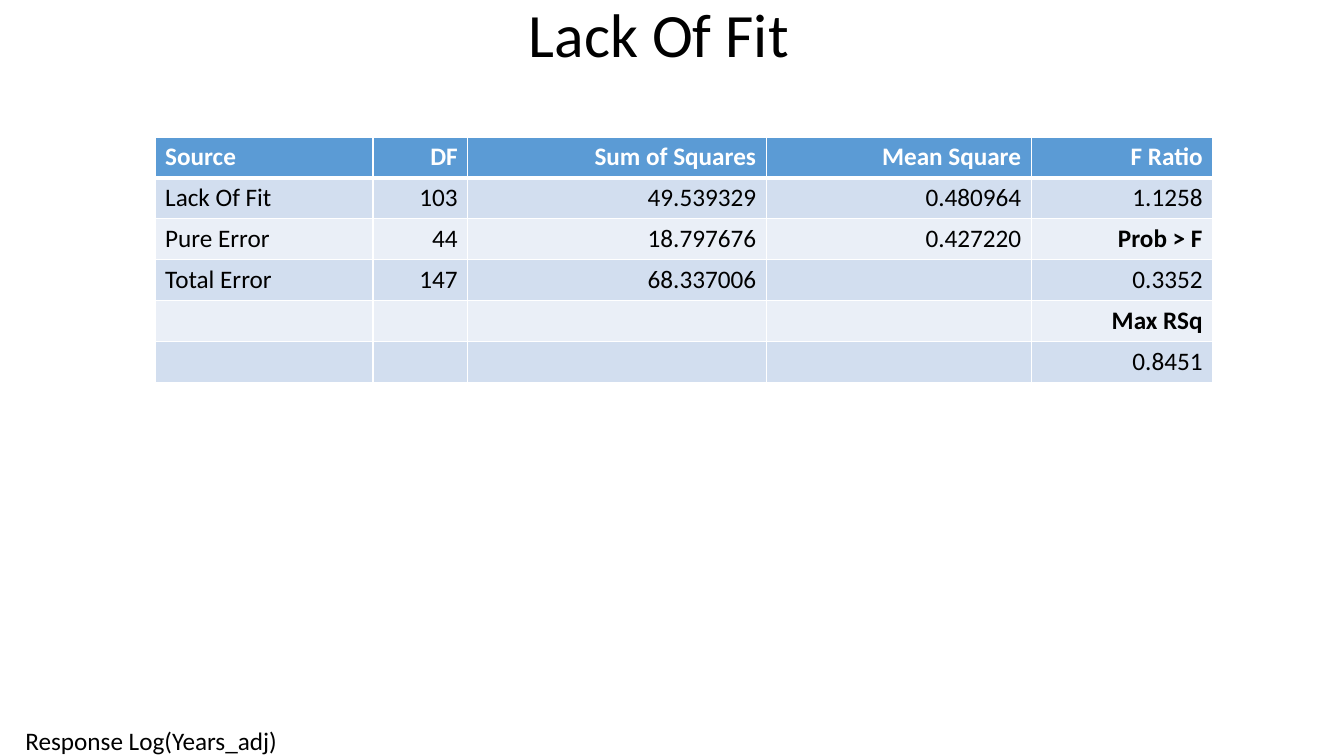
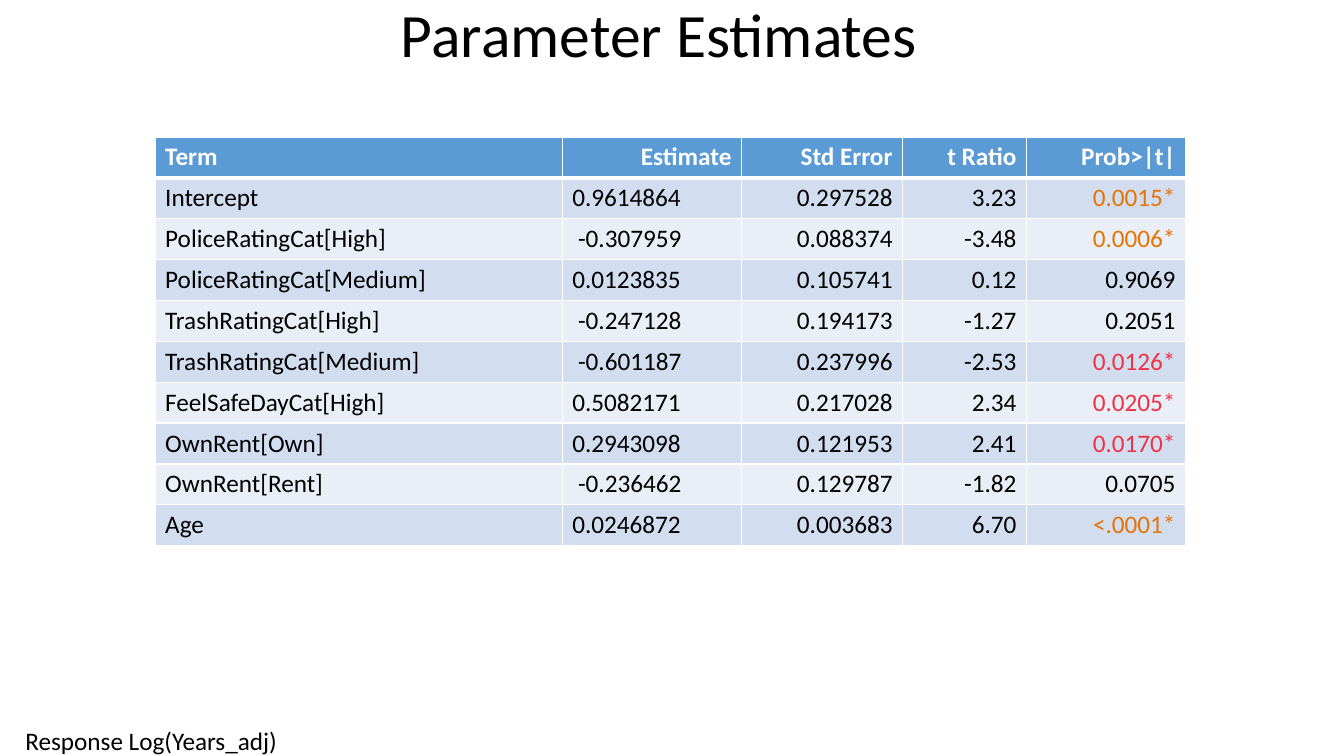
"""Build two slides of regression result tables."""
from dataclasses import dataclass

from lxml import etree
from pptx import Presentation
from pptx.dml.color import RGBColor
from pptx.enum import text
from pptx.oxml import ns
from pptx.util import Cm, Pt

CAPTION = "Response Log(Years_adj)"
SUBHEADS = {"Prob > F", "Max RSq"}
SLIDES = [
    {
        "title": "Lack Of Fit",
        "widths": [5.49, 2.39, 7.52, 6.68, 4.57],
        "align": "lrrrr",
        "rows": [
            ("Source", "DF", "Sum of Squares", "Mean Square", "F Ratio"),
            ("Lack Of Fit", "103", "49.539329", "0.480964", "1.1258"),
            ("Pure Error", "44", "18.797676", "0.427220", "Prob > F"),
            ("Total Error", "147", "68.337006", "", "0.3352"),
            ("", "", "", "", "Max RSq"),
            ("", "", "", "", "0.8451"),
        ],
    },
    {
        "title": "Parameter Estimates",
        "widths": [10.26, 4.52, 4.06, 3.12, 4.01],
        "align": "llrrr",
        "rows": [
            ("Term", "Estimate", "Std Error", "t Ratio", "Prob>|t|"),
            ("Intercept", "0.9614864", "0.297528", "3.23", "0.0015*"),
            ("PoliceRatingCat[High]", " -0.307959", "0.088374", "-3.48", "0.0006*"),
            ("PoliceRatingCat[Medium]", "0.0123835", "0.105741", "0.12", "0.9069"),
            ("TrashRatingCat[High]", " -0.247128", "0.194173", "-1.27", "0.2051"),
            ("TrashRatingCat[Medium]", " -0.601187", "0.237996", "-2.53", "0.0126*"),
            ("FeelSafeDayCat[High]", "0.5082171", "0.217028", "2.34", "0.0205*"),
            ("OwnRent[Own]", "0.2943098", "0.121953", "2.41", "0.0170*"),
            ("OwnRent[Rent]", " -0.236462", "0.129787", "-1.82", "0.0705"),
            ("Age", "0.0246872", "0.003683", "6.70", "<.0001*"),
        ],
    },
]


@dataclass(frozen=True)
class Theme:
    """Shared colours, font and type sizes."""
    font: str = "Calibri"
    title_size: int = 44
    body_size: int = 18
    ink: str = "000000"
    white: str = "FFFFFF"
    header: str = "5B9BD5"
    bands: tuple = ("D2DEEF", "EAEFF7")
    strong: str = "E57406"
    significant: str = "F03246"
    rule: int = 1
    header_rule: int = 3


THEME = Theme()
ALIGN = {"l": text.PP_ALIGN.LEFT, "r": text.PP_ALIGN.RIGHT}


def style(para, size, color, align, bold=False):
    """Format a paragraph and its runs."""
    para.alignment = align
    for span in para.runs:
        span.font.name = THEME.font
        span.font.size = Pt(size)
        span.font.bold = bold
        span.font.color.rgb = RGBColor.from_string(color)


def add_title(page, words):
    """Fill and place the title placeholder."""
    box = page.shapes.title
    box.left, box.top, box.width, box.height = Cm(0), Cm(0), Cm(33.22), Cm(1.9)
    frame = box.text_frame
    frame.text = words
    frame.auto_size = text.MSO_AUTO_SIZE.NONE
    frame.vertical_anchor = text.MSO_ANCHOR.MIDDLE
    frame.paragraphs[0].line_spacing = 0.9
    style(frame.paragraphs[0], THEME.title_size, THEME.ink, text.PP_ALIGN.CENTER)


def add_caption(page):
    """Add the response name at the bottom left."""
    box = page.shapes.add_textbox(Cm(0.64), Cm(18.27), Cm(6.43), Cm(0.78))
    frame = box.text_frame
    frame.margin_left = frame.margin_right = frame.margin_top = frame.margin_bottom = 0
    frame.word_wrap = False
    frame.auto_size = text.MSO_AUTO_SIZE.SHAPE_TO_FIT_TEXT
    frame.text = CAPTION
    style(frame.paragraphs[0], THEME.body_size, THEME.ink, ALIGN["l"])


def add_borders(cell, row):
    """Draw white cell edges, heavier under the header row."""
    heavy = {0: "B", 1: "T"}.get(row)
    properties = cell._tc.get_or_add_tcPr()
    for side in "LRTB":
        points = THEME.header_rule if side == heavy else THEME.rule
        line = etree.SubElement(properties, ns.qn(f"a:ln{side}"), w=str(Pt(points)))
        fill = etree.SubElement(line, ns.qn("a:solidFill"))
        etree.SubElement(fill, ns.qn("a:srgbClr"), val=THEME.white)


def value_color(words):
    """Colour starred probabilities by significance level."""
    if not words.endswith("*"):
        return THEME.ink
    return THEME.strong if float(words.strip("<*")) < 0.01 else THEME.significant


def add_result_table(page, rows, widths, align):
    """Add a banded table of results."""
    frame = page.shapes.add_table(len(rows), len(widths), Cm(3.91), Cm(3.45),
                                  Cm(sum(widths)), Cm(1.03 * len(rows)))
    table = frame.table
    for column, width in zip(table.columns, widths):
        column.width = Cm(width)
    for row, values in enumerate(rows):
        table.rows[row].height = Cm(1.03)
        is_header = row == 0
        fill = THEME.header if is_header else THEME.bands[(row - 1) % 2]
        sides = "lrrrr" if is_header else align
        for column, words in enumerate(values):
            cell = table.cell(row, column)
            add_borders(cell, row)
            cell.fill.solid()
            cell.fill.fore_color.rgb = RGBColor.from_string(fill)
            cell.text_frame.text = words
            color = THEME.white if is_header else value_color(words)
            style(cell.text_frame.paragraphs[0], THEME.body_size, color,
                  ALIGN[sides[column]], is_header or words in SUBHEADS)


def build():
    """Build and save the deck."""
    deck = Presentation()
    deck.slide_width, deck.slide_height = Cm(33.87), Cm(19.05)
    for content in SLIDES:
        page = deck.slides.add_slide(deck.slide_layouts[5])
        add_caption(page)
        add_title(page, content["title"])
        add_result_table(page, content["rows"], content["widths"], content["align"])
    deck.save("out.pptx")


build()
